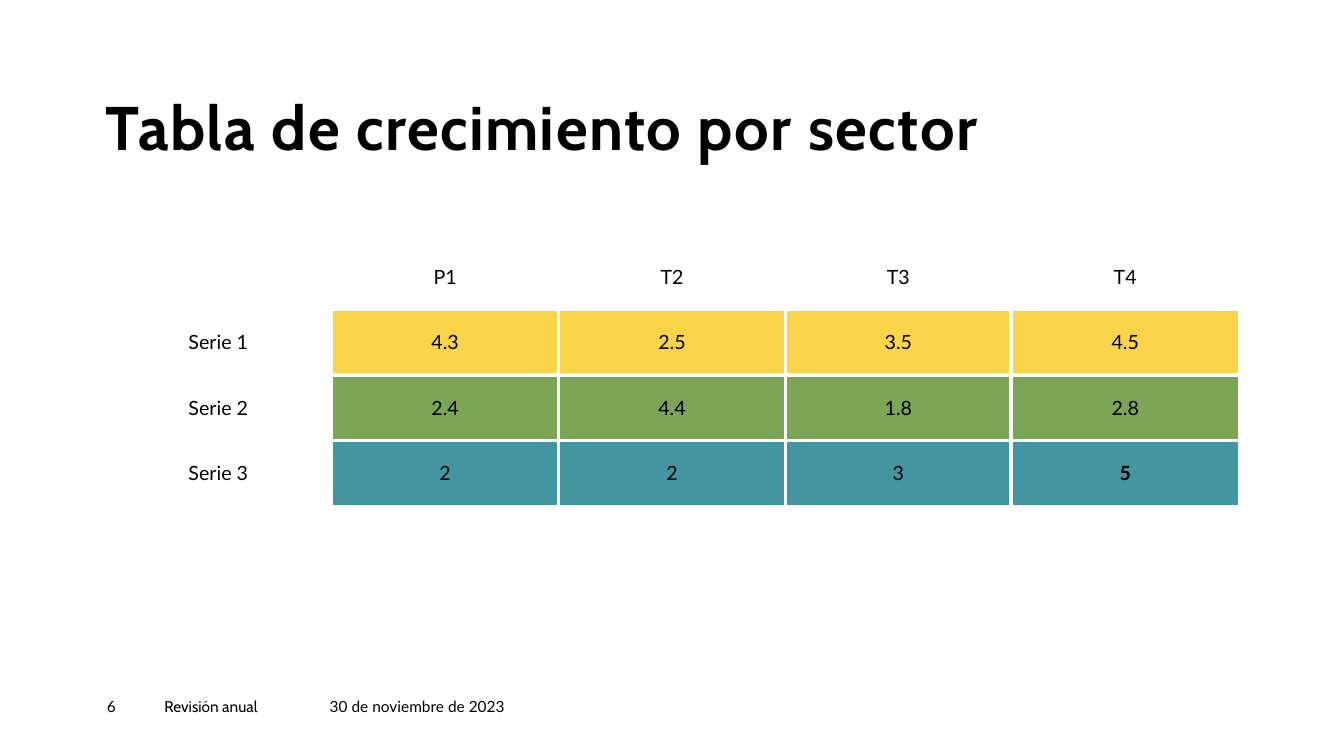
from lxml.etree import SubElement
from pptx import Presentation
from pptx.dml.color import RGBColor
from pptx.enum.text import MSO_ANCHOR as ANCHOR, PP_ALIGN as ALIGN
from pptx.oxml.ns import qn
from pptx.util import Inches, Pt

BLACK = RGBColor(0x00, 0x00, 0x00)
WHITE = RGBColor(0xFF, 0xFF, 0xFF)
YELLOW = RGBColor(0xF9, 0xD4, 0x48)
GREEN = RGBColor(0x7C, 0xA6, 0x55)
TEAL = RGBColor(0x44, 0x95, 0xA2)

HEADING, BODY = "Cabin", "Lato"
ROWS = [
    ["", "P1", "T2", "T3", "T4"],
    ["Serie 1", "4.3", "2.5", "3.5", "4.5"],
    ["Serie 2", "2.4", "4.4", "1.8", "2.8"],
    ["Serie 3", "2", "2", "3", "5"],
]
ROW_FILLS = [None, YELLOW, GREEN, TEAL]
COL_WIDTHS = [2.25, 2.25, 2.25, 2.24, 2.26]
ROW_HEIGHT = 0.65
THIN, EDGE, INNER = 1, 2.25, 3


class SlideBuilder:
    """Draws text and tables on one slide in a shared style."""

    def __init__(self, s):
        self.s = s
        bg = s.background.fill
        bg.solid()
        bg.fore_color.rgb = WHITE

    def style(self, p, size, name, bold=False):
        font = p.font
        font.size, font.name, font.bold = Pt(size), name, bold
        font.color.rgb = BLACK

    def text(self, text, x, y, w, h, size, name, bold=False, anchor=ANCHOR.TOP):
        sp = self.s.shapes.add_textbox(Inches(x), Inches(y), Inches(w), Inches(h))
        tf = sp.text_frame
        tf.word_wrap = True
        tf.vertical_anchor = anchor
        tf.margin_left = tf.margin_right = tf.margin_top = tf.margin_bottom = 0
        p = tf.paragraphs[0]
        p.text = text
        self.style(p, size, name, bold)
        return p

    def title(self, text, x, y, w, h):
        p = self.text(text, x, y, w, h, 44, HEADING, True, ANCHOR.BOTTOM)
        p.line_spacing = 0.9
        p.runs[0].font._element.set("spc", "100")

    def borders(self, cell, widths):
        tcPr = cell._tc.get_or_add_tcPr()
        for side, width in zip("LRTB", widths):
            ln = SubElement(tcPr, qn(f"a:ln{side}"), w=str(Pt(width)))
            fill = SubElement(ln, qn("a:solidFill"))
            SubElement(fill, qn("a:srgbClr"), val=str(WHITE))

    def cell(self, cell, text, fill, widths, bold):
        self.borders(cell, widths)
        if fill is None:
            cell.fill.background()
        else:
            cell.fill.solid()
            cell.fill.fore_color.rgb = fill
        cell.vertical_anchor = ANCHOR.MIDDLE
        p = cell.text_frame.paragraphs[0]
        p.text = text
        p.alignment = ALIGN.CENTER
        self.style(p, 14, BODY, bold)

    def table(self, rows, x, y):
        n_rows, n_cols = len(rows), len(rows[0])
        frame = self.s.shapes.add_table(
            n_rows, n_cols, Inches(x), Inches(y),
            Inches(sum(COL_WIDTHS)), Inches(n_rows * ROW_HEIGHT))
        table = frame.table
        table.first_row = table.horz_banding = False
        for col, width in zip(table.columns, COL_WIDTHS):
            col.width = Inches(width)
        for row in table.rows:
            row.height = Inches(ROW_HEIGHT)
        last_row, last_col = n_rows - 1, n_cols - 1
        for i, row in enumerate(rows):
            for j, text in enumerate(row):
                if i == 0:
                    widths = [THIN, THIN, THIN, EDGE]
                elif j == 0:
                    widths = [EDGE] * 4
                else:
                    outer = [j == 1, j == last_col, i == 1, i == last_row]
                    widths = [EDGE if side else INNER for side in outer]
                fill = ROW_FILLS[i] if j else None
                bold = (i, j) == (last_row, last_col)
                self.cell(table.cell(i, j), text, fill, widths, bold)


def main():
    prs = Presentation()
    prs.slide_width, prs.slide_height = Inches(13.33), Inches(7.5)
    slide = SlideBuilder(prs.slides.add_slide(prs.slide_layouts[6]))
    slide.title("Tabla de crecimiento por sector", 1.05, 0.96, 9.48, 0.67)
    slide.table(ROWS, 1.04, 2.42)
    footer = [
        ("6", 1.06, 0.57, BODY),
        ("Revisión anual", 1.63, 1.64, HEADING),
        ("30 de noviembre de 2023", 3.27, 1.88, BODY),
    ]
    for text, x, w, name in footer:
        slide.text(text, x, 6.92, w, 0.27, 11, name)
    prs.save("out.pptx")


if __name__ == "__main__":
    main()
